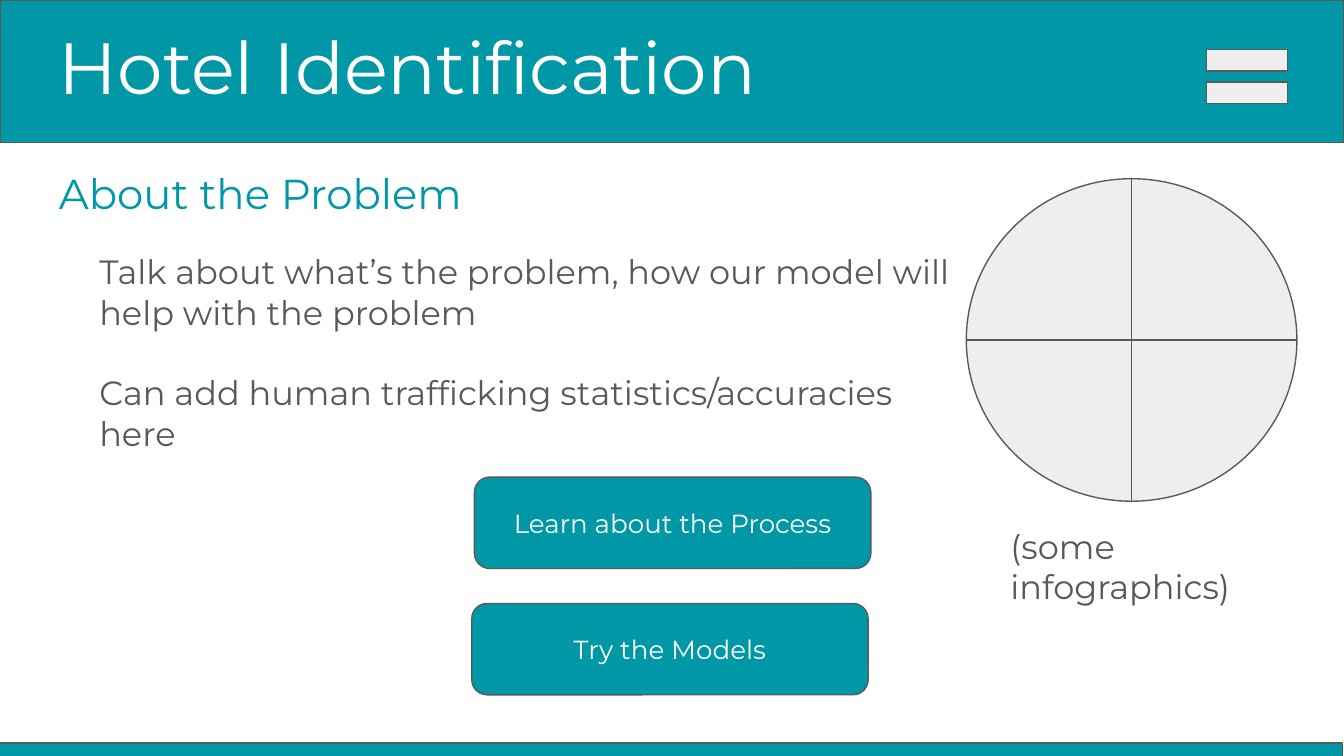
from dataclasses import dataclass

from pptx import Presentation
from pptx.dml.color import RGBColor
from pptx.enum.shapes import MSO_SHAPE
from pptx.enum.text import MSO_ANCHOR, PP_ALIGN
from pptx.util import Inches, Pt

RECT = MSO_SHAPE.RECTANGLE
ROUNDED = MSO_SHAPE.ROUNDED_RECTANGLE
EQUALS = MSO_SHAPE.MATH_EQUAL
CROSSED_CIRCLE = MSO_SHAPE.FLOWCHART_OR
TOP, MIDDLE, BOTTOM = MSO_ANCHOR.TOP, MSO_ANCHOR.MIDDLE, MSO_ANCHOR.BOTTOM
LEFT, CENTER = PP_ALIGN.LEFT, PP_ALIGN.CENTER
SLIDE_WIDTH = 10
SLIDE_HEIGHT = SLIDE_WIDTH * 9 / 16


@dataclass(frozen=True)
class Theme:
    font: str = "Montserrat"
    teal: RGBColor = RGBColor(0x00, 0x97, 0xA7)
    white: RGBColor = RGBColor(0xFF, 0xFF, 0xFF)
    gray: RGBColor = RGBColor(0x59, 0x59, 0x59)
    light: RGBColor = RGBColor(0xEE, 0xEE, 0xEE)
    title: float = 38.8
    subtitle: float = 22.4
    body: float = 18
    button: float = 14
    paragraph_gap: float = 21.6
    line: float = 0.75


THEME = Theme()


def write(sp, paragraphs, size, color, anchor=TOP, align=LEFT):
    tf = sp.text_frame
    inset = Inches(0.1)
    frame_format = {
        "word_wrap": True, "vertical_anchor": anchor,
        "margin_left": inset, "margin_right": inset,
        "margin_top": inset, "margin_bottom": inset,
    }
    for name, value in frame_format.items():
        setattr(tf, name, value)
    for i, text in enumerate(paragraphs):
        p = tf.add_paragraph() if i else tf.paragraphs[0]
        p.alignment = align
        if i:
            p.space_before = Pt(THEME.paragraph_gap)
        r = p.add_run()
        r.text = text
        for name, value in {"name": THEME.font, "size": Pt(size)}.items():
            setattr(r.font, name, value)
        r.font.color.rgb = color


def add_text(s, box, paragraphs, size, color, anchor=TOP):
    sp = s.shapes.add_textbox(*map(Inches, box))
    write(sp, paragraphs, size, color, anchor)


def add_outlined(s, kind, box, fill, adjustments=()):
    sp = s.shapes.add_shape(kind, *map(Inches, box))
    sp.shadow.inherit = False
    sp.fill.solid()
    sp.fill.fore_color.rgb = fill
    sp.line.color.rgb = THEME.gray
    sp.line.width = Pt(THEME.line)
    for i, value in enumerate(adjustments):
        sp.adjustments[i] = value
    return sp


def add_button(s, left, top, label):
    sp = add_outlined(s, ROUNDED, (left, top, 2.95, 0.68), THEME.teal, [0.167])
    write(sp, [label], THEME.button, THEME.white, MIDDLE, CENTER)


def main():
    prs = Presentation()
    prs.slide_width, prs.slide_height = Inches(SLIDE_WIDTH), Inches(SLIDE_HEIGHT)
    s = prs.slides.add_slide(prs.slide_layouts[6])

    add_outlined(s, RECT, (0, 0, SLIDE_WIDTH, 1.06), THEME.teal)
    add_text(s, (0.34, 0.23, 5.81, 0.68), ["Hotel Identification"],
             THEME.title, THEME.white, BOTTOM)
    add_text(s, (0.34, 1.15, 3.97, 0.62), ["About the Problem"],
             THEME.subtitle, THEME.teal)
    add_text(s, (0.64, 1.77, 6.55, 3.44), [
        "Talk about what’s the problem, how our model will help with the problem",
        "Can add human trafficking statistics/accuracies here",
    ], THEME.body, THEME.gray)

    # Menu icon
    add_outlined(s, EQUALS, (8.87, 0.23, 0.82, 0.68), THEME.light, [0.235, 0.118])

    add_button(s, 3.51, 4.49, "Try the Models")
    add_button(s, 3.53, 3.55, "Learn about the Process")

    add_outlined(s, CROSSED_CIRCLE, (7.19, 1.33, 2.46, 2.4), THEME.light)
    add_text(s, (7.42, 3.81, 2.46, 0.53), ["(some infographics)"],
             THEME.body, THEME.gray)

    add_outlined(s, RECT, (-0.01, 5.53, SLIDE_WIDTH, 0.1), THEME.teal)
    prs.save("out.pptx")


if __name__ == "__main__":
    main()
